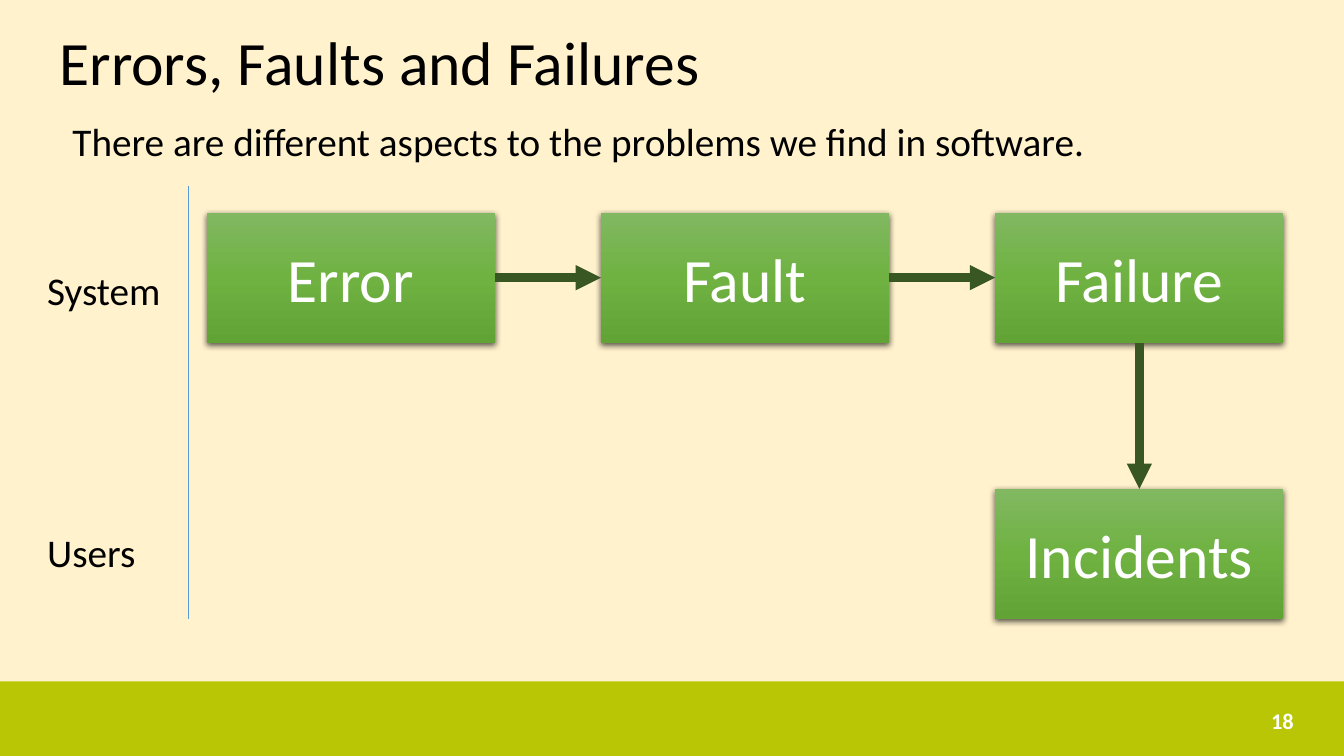
from dataclasses import dataclass

from lxml.etree import SubElement
from pptx import Presentation
from pptx.dml.color import RGBColor
from pptx.enum.shapes import MSO_CONNECTOR, MSO_SHAPE
from pptx.enum.text import MSO_ANCHOR, MSO_AUTO_SIZE, PP_ALIGN
from pptx.oxml.ns import qn
from pptx.util import Inches, Pt

TOP, LEFT, BOTTOM, RIGHT = range(4)


@dataclass(frozen=True)
class Theme:
    font: str = "Calibri"
    background: str = "FFF2CC"
    band: str = "B8C605"
    ink: str = "000000"
    light: str = "FFFFFF"
    arrow: str = "385723"
    divider: str = "5B9BD5"
    shadow: str = "000000"
    gradient: tuple = ((0, "81B861"), (50, "6FB242"), (100, "62A336"))
    heading_size: int = 44
    body_size: int = 28
    number_size: int = 16
    arrow_width: float = 6
    divider_width: float = 0.5


class SlideBuilder:
    def __init__(self, deck, theme):
        self.theme = theme
        self.page = deck.slides.add_slide(deck.slide_layouts[5])
        fill = self.page.background.fill
        fill.solid()
        fill.fore_color.rgb = RGBColor.from_string(theme.background)

    def set_text(self, box, text, size, color, align=PP_ALIGN.LEFT,
                 anchor=MSO_ANCHOR.MIDDLE, wrap=True, bold=False, spacing=1.0):
        frame = box.text_frame
        frame_format = {"word_wrap": wrap, "vertical_anchor": anchor,
                        "auto_size": MSO_AUTO_SIZE.NONE}
        for name, value in frame_format.items():
            setattr(frame, name, value)
        para = frame.paragraphs[0]
        para.alignment = align
        para.line_spacing = spacing
        span = para.add_run()
        span.text = text
        span_format = {"name": self.theme.font, "size": Pt(size), "bold": bold}
        for name, value in span_format.items():
            setattr(span.font, name, value)
        span.font.color.rgb = RGBColor.from_string(color)

    def title(self, text, left, top, width, height):
        box = self.page.shapes.title
        place = {"left": left, "top": top, "width": width, "height": height}
        for name, value in place.items():
            setattr(box, name, Inches(value))
        self.set_text(box, text, self.theme.heading_size, self.theme.ink, spacing=0.9)

    def label(self, text, left, top, width, height, **style):
        box = self.page.shapes.add_textbox(*map(Inches, (left, top, width, height)))
        style = {"size": self.theme.body_size, "color": self.theme.ink,
                 "anchor": MSO_ANCHOR.TOP, **style}
        self.set_text(box, text, **style)

    def rectangle(self, left, top, width, height):
        """Add a rectangle without outline or shadow."""
        box = self.page.shapes.add_shape(
            MSO_SHAPE.RECTANGLE, *map(Inches, (left, top, width, height)))
        box.line.fill.background()
        box.shadow.inherit = False
        return box

    def band(self, left, top, width, height):
        fill = self.rectangle(left, top, width, height).fill
        fill.solid()
        fill.fore_color.rgb = RGBColor.from_string(self.theme.band)

    def stage(self, text, left, top, width, height):
        """Add a labelled box with the gradient and the soft shadow."""
        box = self.rectangle(left, top, width, height)
        box.fill.gradient()
        box.fill.gradient_angle = 270
        properties = box._element.spPr
        stops = properties.find(qn("a:gradFill")).find(qn("a:gsLst"))
        for stop in list(stops):
            stops.remove(stop)
        for position, color in self.theme.gradient:
            stop = SubElement(stops, qn("a:gs"), pos=str(position * 1000))
            SubElement(stop, qn("a:srgbClr"), val=color)
        shadow = SubElement(
            properties.find(qn("a:effectLst")), qn("a:outerShdw"),
            blurRad=str(Pt(4.5)), dist=str(Pt(1.5)), dir="5400000",
            algn="ctr", rotWithShape="0")
        shade = SubElement(shadow, qn("a:srgbClr"), val=self.theme.shadow)
        SubElement(shade, qn("a:alpha"), val="63000")
        self.set_text(box, text, self.theme.heading_size, self.theme.light,
                      align=PP_ALIGN.CENTER)
        return box

    def line(self, start, end, color, width):
        line = self.page.shapes.add_connector(
            MSO_CONNECTOR.STRAIGHT, *map(Inches, (*start, *end)))
        line.line.color.rgb = RGBColor.from_string(color)
        line.line.width = Pt(width)
        SubElement(line._element.spPr, qn("a:effectLst"))
        return line

    def arrow(self, source, source_side, target, target_side):
        arrow = self.line((0, 0), (0, 0), self.theme.arrow, self.theme.arrow_width)
        arrow.begin_connect(source, source_side)
        arrow.end_connect(target, target_side)
        outline = arrow._element.spPr.find(qn("a:ln"))
        SubElement(outline, qn("a:tailEnd"), type="triangle")


def main():
    deck = Presentation()
    deck.slide_width, deck.slide_height = Inches(13.33), Inches(7.5)
    theme = Theme()
    slide = SlideBuilder(deck, theme)

    slide.band(0, 6.76, 13.33, 0.74)
    slide.title("Errors, Faults and Failures", 0.49, 0.27, 12.43, 0.77)
    slide.label("18", 9.42, 6.95, 3.51, 0.4, size=theme.number_size, color=theme.light,
                align=PP_ALIGN.RIGHT, anchor=MSO_ANCHOR.MIDDLE, bold=True)
    slide.label("There are different aspects to the problems we find in software.",
                0.62, 1.11, 12.11, 0.57)

    first_left, pitch, stage_size = 2.05, 3.91, (2.86, 1.29)
    system_top, users_top = 2.11, 4.85
    error, fault, failure = [
        slide.stage(name, first_left + column * pitch, system_top, *stage_size)
        for column, name in enumerate(("Error", "Fault", "Failure"))]
    incidents = slide.stage("Incidents", first_left + 2 * pitch, users_top, *stage_size)
    slide.arrow(error, RIGHT, fault, LEFT)
    slide.arrow(fault, RIGHT, failure, LEFT)
    slide.arrow(failure, BOTTOM, incidents, TOP)

    slide.line((1.87, 1.85), (1.87, 6.14), theme.divider, theme.divider_width)
    for name, top, width in (("System", 2.59, 1.34), ("Users", 5.19, 1.09)):
        slide.label(name, 0.37, top, width, 0.57, wrap=False)

    deck.save("out.pptx")


if __name__ == "__main__":
    main()
